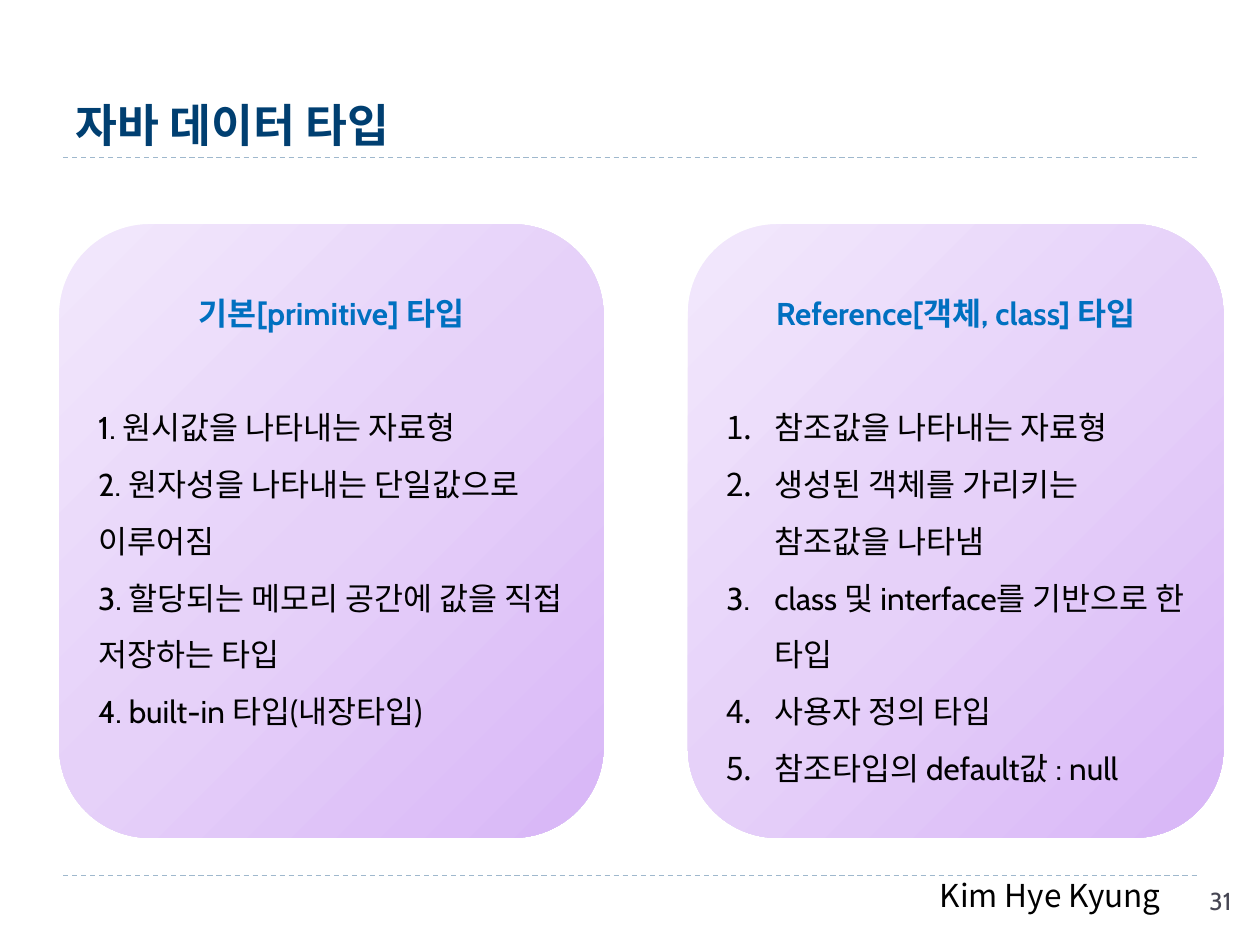
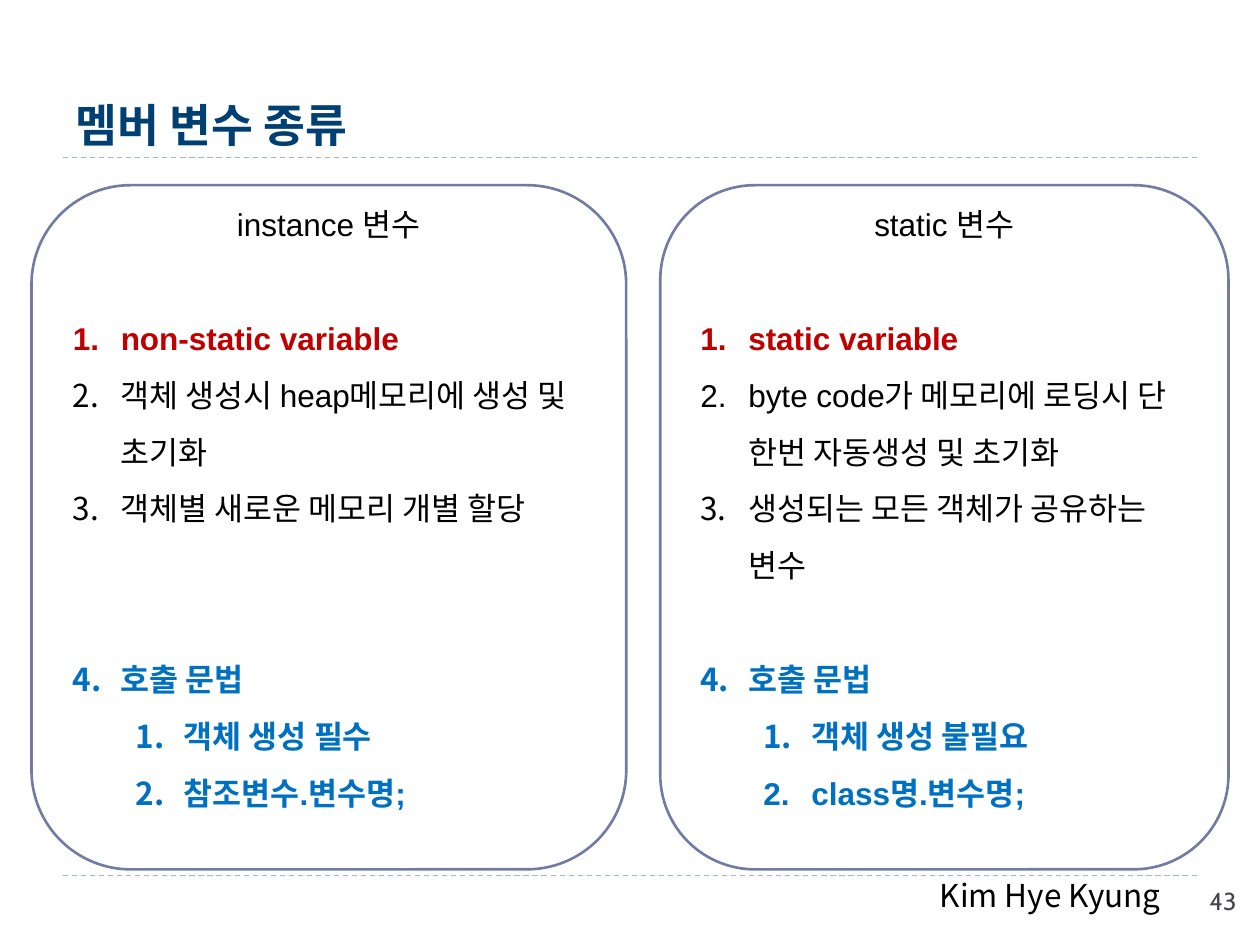
"""Build two slides that compare Java data types and member variable kinds."""
import pptx
import pptx.util
import pptx.dml.color
import pptx.enum.dml
import pptx.enum.shapes
import pptx.enum.text
import pptx.oxml
import pptx.oxml.ns
from lxml import etree

Inches, Pt = pptx.util.Inches, pptx.util.Pt
ALIGN, ANCHOR = pptx.enum.text.PP_ALIGN, pptx.enum.text.MSO_ANCHOR

BLACK, BLUE, RED = "000000", "0070C0", "C00000"
NAVY, SLATE, RULE, OUTLINE = "003F71", "464653", "9FB8CD", "727CA3"
LILAC = [(0, "D8B6F7"), (50, "E6D1F9"), (100, "F2E8FC")]
KOREAN = "Noto Sans CJK KR"
AUTHOR = "Kim Hye Kyung"
RULE_HEIGHTS = (1.25, 6.95)
LINE_PITCH = 32.5
INDENT, NESTING = 0.38, 0.5

# Each item: text, then any of color, level and gap (empty lines before it).
SLIDES = [
    dict(title="자바 데이터 타입", number="31", font="Cabin", heading=(BLUE, True),
         top=1.78, height=4.87, gradient=LILAC, cards=[
             dict(left=0.47, width=4.32, heading="기본[primitive] 타입", numbered=False,
                  lines_below=1, items=[
                      ("1. 원시값을 나타내는 자료형", {}),
                      ("2. 원자성을 나타내는 단일값으로 이루어짐", {}),
                      ("3. 할당되는 메모리 공간에 값을 직접 저장하는 타입", {}),
                      ("4. built-in 타입(내장타입)", {})]),
             dict(left=5.46, width=4.25, heading="Reference[객체, class] 타입", numbered=True,
                  lines_below=0, items=[
                      ("참조값을 나타내는 자료형", {}),
                      ("생성된 객체를 가리키는 참조값을 나타냄", {}),
                      ("class 및 interface를 기반으로 한 타입", {}),
                      ("사용자 정의 타입", {}),
                      ("참조타입의 default값 : null", {})])]),
    dict(title="멤버 변수 종류", number="43", font="Arial", heading=(BLACK, False),
         top=1.47, height=5.43, gradient=None, cards=[
             dict(left=0.25, width=4.72, heading="instance 변수", numbered=True,
                  lines_below=1, items=[
                      ("non-static variable", dict(color=RED)),
                      ("객체 생성시 heap메모리에 생성 및 초기화", {}),
                      ("객체별 새로운 메모리 개별 할당", {}),
                      ("호출 문법", dict(color=BLUE, gap=2)),
                      ("객체 생성 필수", dict(color=BLUE, level=1)),
                      ("참조변수.변수명;", dict(color=BLUE, level=1))]),
             dict(left=5.24, width=4.51, heading="static 변수", numbered=True,
                  lines_below=1, items=[
                      ("static variable", dict(color=RED)),
                      ("byte code가 메모리에 로딩시 단 한번 자동생성 및 초기화", {}),
                      ("생성되는 모든 객체가 공유하는 변수", {}),
                      ("호출 문법", dict(color=BLUE, gap=1)),
                      ("객체 생성 불필요", dict(color=BLUE, level=1)),
                      ("class명.변수명;", dict(color=BLUE, level=1))])]),
]


def rgb(color):
    return pptx.dml.color.RGBColor.from_string(color)


def add_element(parent, tag, **attributes):
    element = etree.SubElement(parent, pptx.oxml.ns.qn(tag))
    for name, value in attributes.items():
        element.set(name, str(value))
    return element


def write(paragraph, text, font, size, color, bold=False):
    paragraph.text = text
    for run in paragraph.runs:
        run.font.name, run.font.size, run.font.bold = font, Pt(size), bold
        run.font.color.rgb = rgb(color)
        add_element(run.font._element, "a:ea", typeface=KOREAN)


def add_rule(slide, y):
    rule = slide.shapes.add_connector(
        pptx.enum.shapes.MSO_CONNECTOR.STRAIGHT, Inches(0.5), Inches(y), Inches(9.5), Inches(y))
    rule.line.color.rgb, rule.line.width = rgb(RULE), Pt(0.75)
    rule.line.dash_style = pptx.enum.dml.MSO_LINE.DASH
    add_element(rule._element.spPr, "a:effectLst")


def add_label(slide, text, left, top, width, font, size, color):
    label = slide.shapes.add_textbox(Inches(left), Inches(top), Inches(width), Inches(0.4))
    label.text_frame.word_wrap = True
    write(label.text_frame.paragraphs[0], text, font, size, color)


def add_frame(slide, content):
    for y in RULE_HEIGHTS:
        add_rule(slide, y)
    add_label(slide, AUTHOR, 7.36, 6.9, 2.1, KOREAN, 18, BLACK)
    add_label(slide, content["number"], 9.5, 6.98, 0.5, "Cabin", 14, SLATE)
    title = slide.shapes.title
    title.left, title.top, title.width, title.height = map(Inches, (0.5, 0.17, 9, 1.08))
    title.text_frame.vertical_anchor = ANCHOR.BOTTOM
    title.text_frame.auto_size = pptx.enum.text.MSO_AUTO_SIZE.NONE
    heading = title.text_frame.paragraphs[0]
    heading.alignment = ALIGN.LEFT
    write(heading, content["title"], "Arial", 26, NAVY, True)


def fill_from_corner(card, stops):
    card.fill.gradient()
    gradient = card.fill._xPr.find(pptx.oxml.ns.qn("a:gradFill"))
    for child in list(gradient):
        gradient.remove(child)
    stop_list = add_element(gradient, "a:gsLst")
    for position, color in stops:
        stop = add_element(stop_list, "a:gs", pos=position * 1000)
        add_element(stop, "a:srgbClr", val=color)
    circle = add_element(gradient, "a:path", path="circle")
    add_element(circle, "a:fillToRect", l=100000, t=100000)


def number_item(paragraph, level):
    paragraph.level = level
    properties = paragraph._p.get_or_add_pPr()
    properties.set("marL", str(Inches(INDENT + NESTING * level)))
    properties.set("indent", str(-Inches(INDENT)))
    add_element(properties, "a:buFont", typeface="+mj-lt")
    add_element(properties, "a:buAutoNum", type="arabicPeriod")


def add_card(slide, content, card):
    panel = slide.shapes.add_shape(
        pptx.enum.shapes.MSO_SHAPE.ROUNDED_RECTANGLE, Inches(card["left"]),
        Inches(content["top"]), Inches(card["width"]), Inches(content["height"]))
    panel.shadow.inherit = False
    if content["gradient"]:
        fill_from_corner(panel, content["gradient"])
        panel.line.fill.background()
    else:
        panel.fill.solid()
        panel.fill.fore_color.rgb = rgb("FFFFFF")
        panel.line.color.rgb, panel.line.width = rgb(OUTLINE), Pt(1.5)

    frame = panel.text_frame
    frame.word_wrap, frame.vertical_anchor = True, ANCHOR.MIDDLE
    frame.margin_bottom = Inches(0.05) + Pt(LINE_PITCH * card["lines_below"])
    heading = frame.paragraphs[0]
    heading.alignment, heading.line_spacing = ALIGN.CENTER, Pt(LINE_PITCH)
    color, bold = content["heading"]
    write(heading, card["heading"], content["font"], 18, color, bold)
    for index, (text, style) in enumerate(card["items"]):
        item = frame.add_paragraph()
        if card["numbered"]:
            number_item(item, style.get("level", 0))
        item.alignment, item.line_spacing = ALIGN.LEFT, Pt(LINE_PITCH)
        gap = 1 if index == 0 else style.get("gap", 0)
        item.space_before = Pt(LINE_PITCH * gap)
        color = style.get("color", BLACK)
        write(item, text, content["font"], 18, color, color != BLACK)


def main():
    deck = pptx.Presentation()
    deck.slide_width, deck.slide_height = Inches(10), Inches(7.5)
    for content in SLIDES:
        slide = deck.slides.add_slide(deck.slide_layouts[5])
        add_frame(slide, content)
        for card in content["cards"]:
            add_card(slide, content, card)
    deck.save("out.pptx")


if __name__ == "__main__":
    main()
